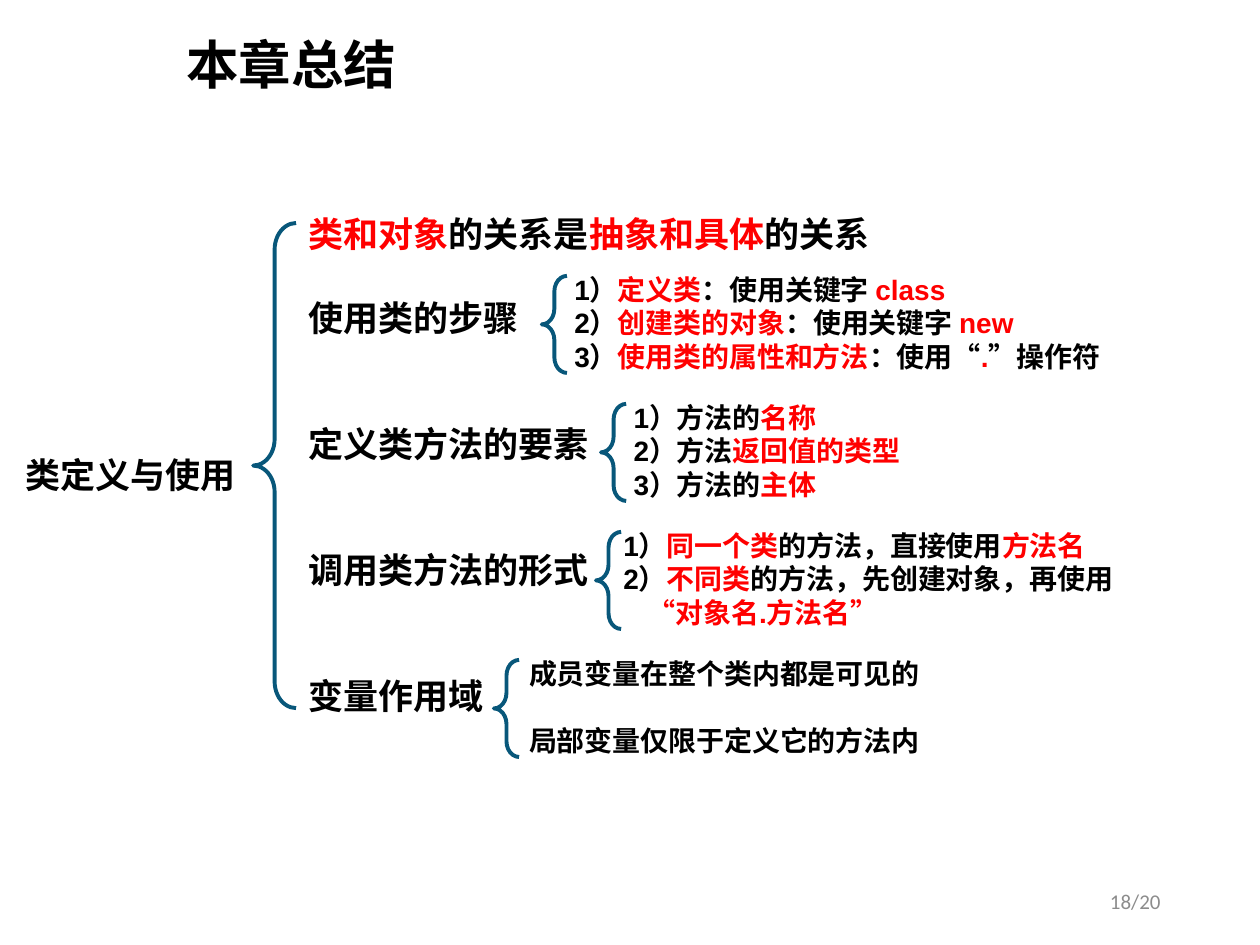
from pptx import Presentation
from pptx.dml.color import RGBColor
from pptx.enum.shapes import MSO_SHAPE
from pptx.enum.text import MSO_ANCHOR, MSO_AUTO_SIZE, PP_ALIGN
from pptx.oxml.ns import qn
from pptx.util import Inches, Pt
from lxml import etree

COLORS = {"black": "000000", "red": "FF0000", "brace": "08577A", "gray": "8C8C8C"}
EAST_ASIAN_FONT = "Noto Sans CJK SC"


class SummarySlide:
    """Hold the style of a summary slide and draw its elements."""

    def __init__(self, presentation):
        self.slide = presentation.slides.add_slide(presentation.slide_layouts[5])

    def format_run(self, run, size, color="black", font="Arial", bold=True):
        run.font.size = Pt(size)
        run.font.name = font
        run.font.bold = bold
        run.font.color.rgb = RGBColor.from_string(COLORS[color])
        east_asian = etree.SubElement(run._r.get_or_add_rPr(), qn("a:ea"))
        east_asian.set("typeface", EAST_ASIAN_FONT)

    def title(self, text, left, top, width, height):
        shape = self.slide.shapes.title
        shape.left, shape.top = Inches(left), Inches(top)
        shape.width, shape.height = Inches(width), Inches(height)
        frame = shape.text_frame
        frame.text = text
        frame.auto_size = MSO_AUTO_SIZE.NONE
        frame.vertical_anchor = MSO_ANCHOR.MIDDLE
        paragraph = frame.paragraphs[0]
        paragraph.alignment = PP_ALIGN.LEFT
        paragraph.line_spacing = 0.9
        self.format_run(paragraph.runs[0], 30, font=EAST_ASIAN_FONT)

    def text(self, lines, left, top, width, height, size=16, gaps=(),
             align=PP_ALIGN.LEFT, **style):
        """Write lines in which asterisks enclose red words."""
        shape = self.slide.shapes.add_textbox(
            Inches(left), Inches(top), Inches(width), Inches(height))
        frame = shape.text_frame
        frame.word_wrap = True
        for index, line in enumerate(lines):
            paragraph = frame.add_paragraph() if index else frame.paragraphs[0]
            paragraph.alignment = align
            if index < len(gaps):
                paragraph.space_before = Pt(gaps[index])
            for part, words in enumerate(line.split("*")):
                if words:
                    run = paragraph.add_run()
                    run.text = words
                    self.format_run(run, size, **({"color": "red"} if part % 2 else style))
        return frame

    def brace(self, left, top, width=0.2, height=0.77):
        shape = self.slide.shapes.add_shape(
            MSO_SHAPE.LEFT_BRACE, Inches(left), Inches(top), Inches(width), Inches(height))
        shape.shadow.inherit = False
        shape.adjustments[0] = 0.62
        shape.adjustments[1] = 0.5
        shape.fill.background()
        shape.line.color.rgb = RGBColor.from_string(COLORS["brace"])
        shape.line.width = Pt(2.25)


presentation = Presentation()
presentation.slide_width, presentation.slide_height = Inches(10), Inches(7.5)
summary = SummarySlide(presentation)
summary.title("本章总结", 1.38, 0.1, 8.62, 0.87)

summary.text(["类定义与使用"], 0.04, 3.55, 1.99, 0.44, size=20, align=PP_ALIGN.CENTER)
summary.brace(2.01, 1.77, 0.34, 3.85)
topics = ["*类和对象*的关系是*抽象和具体*的关系", "使用类的步骤", "定义类方法的要素",
          "调用类方法的形式", "变量作用域"]
summary.text(topics, 2.35, 1.64, 7.1, 4.14, size=20, gaps=(0, 24, 48, 48, 48))

details = [
    (4.3, 4.46, 4.6, (), ["1）*定义类*：使用关键字 *class*",
                          "2）*创建类的对象*：使用关键字 *new*",
                          "3）*使用类的属性和方法*：使用“*.*”操作符"]),
    (4.77, 4.93, 2.8, (), ["1）方法的*名称*", "2）方法*返回值的类型*", "3）方法的*主体*"]),
    (4.73, 4.85, 4.76, (), ["1）*同一个类*的方法，直接使用*方法名*",
                            "2）*不同类*的方法，先创建对象，再使用",
                            "*“对象名.方法名”*"]),
    (3.92, 4.1, 3.75, (0, 19.4), ["成员变量在整个类内都是可见的",
                                  "局部变量仅限于定义它的方法内"]),
]
frames = []
for row, (brace_left, text_left, width, gaps, lines) in enumerate(details):
    top = 2.11 + row * 1.016
    summary.brace(brace_left, top + 0.08)
    frames.append(summary.text(lines, text_left, top, width, 0.91, gaps=gaps))
continuation = frames[2].paragraphs[2]
continuation._p.get_or_add_pPr().set("marL", str(Inches(0.19)))

page_number = summary.text(["18/20"], 7.06, 6.95, 2.25, 0.4, size=12, align=PP_ALIGN.RIGHT,
                           color="gray", font="Calibri", bold=False)
page_number.vertical_anchor = MSO_ANCHOR.MIDDLE
presentation.save("out.pptx")
